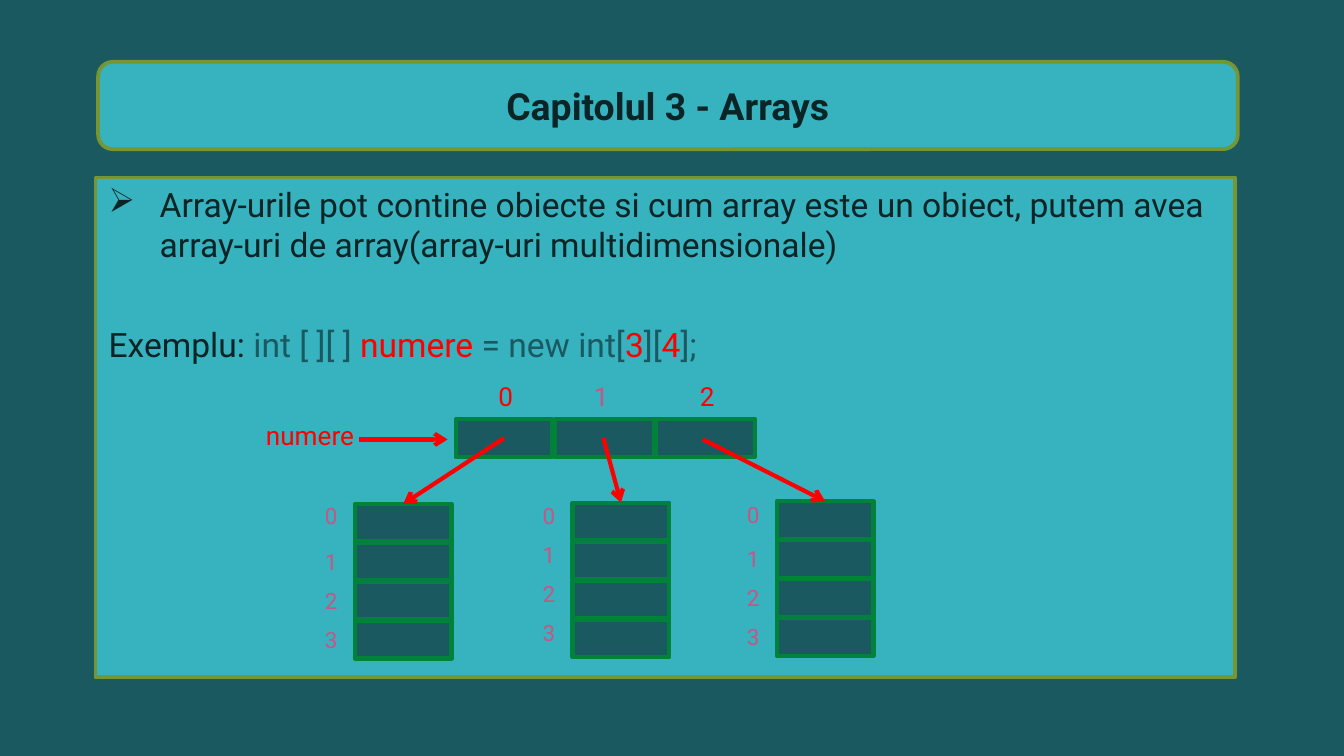
from dataclasses import dataclass

from lxml.etree import SubElement
from pptx import Presentation
from pptx.dml.color import RGBColor as RGB
from pptx.enum.shapes import MSO_CONNECTOR as CONN, MSO_SHAPE as SHAPE
from pptx.enum.text import MSO_ANCHOR as ANCHOR, PP_ALIGN as ALIGN
from pptx.oxml.ns import qn
from pptx.util import Inches, Pt


@dataclass(frozen=True)
class Theme:
    font: str = "Roboto"
    dark: str = "1B5960"
    panel: str = "37B2BF"
    border: str = "769634"
    ink: str = "0B2426"
    cell_line: str = "00823B"
    red: str = "FF0000"
    pink: str = "C95584"
    title: int = 20
    body: int = 18
    label: int = 14
    index: int = 12


T = Theme()

# The grid: 100 columns by 56.25 rows of square units
COLS, ROWS = 100, 56.25
UNIT = Inches(10) / COLS
CELL_W, CELL_H, CELL_STEP = 7.2, 2.8, 2.9


def grid(*units):
    return [round(u * UNIT) for u in units]


def add_run(p, text, size, color, bold=False):
    r = p.add_run()
    r.text = text
    f = r.font
    f.name, f.size, f.bold = T.font, Pt(size), bold
    f.color.rgb = RGB.from_string(color)


def add_box(s, kind, at, fill, line, width):
    sp = s.shapes.add_shape(kind, *grid(*at))
    sp.shadow.inherit = False
    sp.fill.solid()
    sp.fill.fore_color.rgb = RGB.from_string(fill)
    sp.line.color.rgb = RGB.from_string(line)
    sp.line.width = Pt(width)
    return sp


def add_cell(s, x, y, w=CELL_W):
    return add_box(s, SHAPE.RECTANGLE, (x, y, w, CELL_H), T.dark, T.cell_line, 2.25)


def add_label(s, x, y, text, size, color, w=3.7):
    h = 3.4 if size == T.label else 2.7
    tf = s.shapes.add_textbox(*grid(x, y, w, h)).text_frame
    tf.word_wrap = True
    add_run(tf.paragraphs[0], text, size, color)


def add_arrow(s, start, end, target=None):
    c = s.shapes.add_connector(CONN.STRAIGHT, *grid(*start, *end))
    if target is not None:
        c.end_connect(target, 0)
    c.line.color.rgb = RGB.from_string(T.red)
    c.line.width = Pt(2.25)
    spPr = c._element.spPr
    SubElement(spPr.find(qn("a:ln")), qn("a:tailEnd"), type="arrow")
    SubElement(spPr, qn("a:effectLst"))


def set_bullet(p, char, indent):
    pPr = p._p.get_or_add_pPr()
    pPr.set("marL", str(indent))
    pPr.set("indent", str(-indent))
    SubElement(pPr, qn("a:buChar"), char=char)


def add_title(s):
    sp = add_box(s, SHAPE.ROUNDED_RECTANGLE, (7.3, 4.6, 84.8, 6.5), T.panel, T.border, 2)
    tf = sp.text_frame
    tf.vertical_anchor = ANCHOR.MIDDLE
    p = tf.paragraphs[0]
    p.alignment = ALIGN.CENTER
    add_run(p, "Capitolul 3 - Arrays", T.title, T.ink, bold=True)


def add_body(s):
    sp = add_box(s, SHAPE.RECTANGLE, (7.1, 13.2, 84.8, 37.2), T.panel, T.border, 2)
    tf = sp.text_frame
    tf.word_wrap = True
    tf.vertical_anchor = ANCHOR.TOP

    # Bulleted statement
    p = tf.paragraphs[0]
    p.alignment = ALIGN.LEFT
    p.space_after = Pt(32)
    set_bullet(p, "➢", Inches(0.38))
    add_run(p, "Array-urile pot contine obiecte si cum array este un obiect, "
               "putem avea array-uri de array(array-uri multidimensionale)", T.body, T.ink)

    # Code example
    p = tf.add_paragraph()
    p.alignment = ALIGN.LEFT
    for text, color in (("Exemplu: ", T.ink), ("int [ ][ ] ", T.dark), ("numere ", T.red),
                        ("= new int[", T.dark), ("3", T.red), ("][", T.dark),
                        ("4", T.red), ("];", T.dark)):
        add_run(p, text, T.body, color)


def add_outer_array(s):
    # Cell left and width, label left and colour
    cells = ((33.9, 7.2, 36.1, T.red), (41.3, 7.4, 43.2, T.pink), (48.8, 7.4, 51.1, T.red))
    for i, (x, w, label_x, color) in enumerate(cells):
        add_cell(s, x, 31.2, w)
        add_label(s, label_x, 27.8, str(i), T.label, color)
    add_label(s, 18.8, 30.7, "numere", T.label, T.red, w=8.8)
    add_arrow(s, (26.7, 32.7), (33.3, 32.7))


def add_inner_array(s, x, top, label_top, lift, source):
    cells = [add_cell(s, x, top + i * CELL_STEP) for i in range(4)]
    for i in range(4):
        y = label_top + i * CELL_STEP - (lift if i == 0 else 0)
        add_label(s, x - 3.2, y, str(i), T.index, T.pink)
    add_arrow(s, source, (x + CELL_W / 2, top), cells[0])


def main():
    prs = Presentation()
    prs.slide_width, prs.slide_height = grid(COLS, ROWS)
    s = prs.slides.add_slide(prs.slide_layouts[6])
    s.background.fill.solid()
    s.background.fill.fore_color.rgb = RGB.from_string(T.dark)

    add_title(s)
    add_body(s)

    # Diagram: the array of arrays
    add_outer_array(s)
    add_inner_array(s, 26.4, 37.5, 37.4, 0.5, (37.5, 32.6))
    add_inner_array(s, 42.6, 37.4, 36.9, 0, (44.9, 32.6))
    add_inner_array(s, 57.8, 37.3, 37.2, 0.4, (52.3, 32.7))

    prs.save("out.pptx")


if __name__ == "__main__":
    main()
